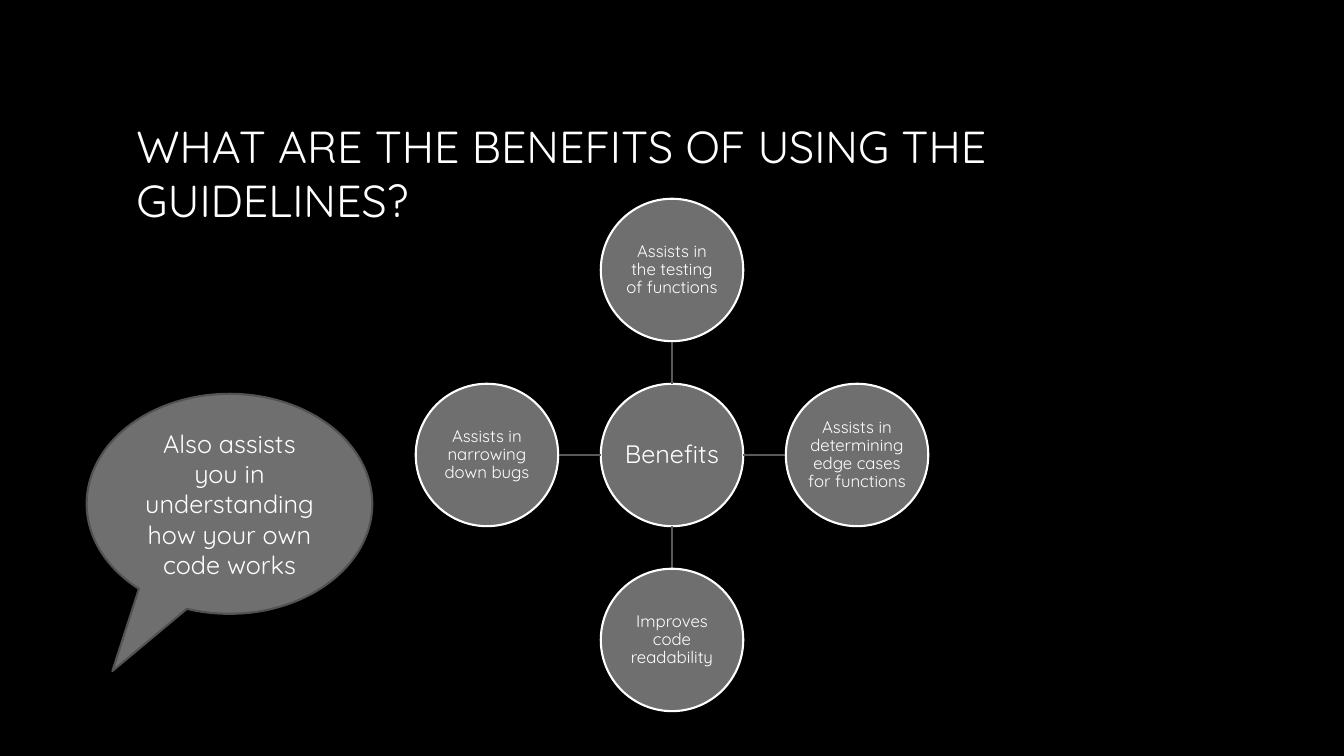
from dataclasses import dataclass

from lxml.etree import SubElement
from pptx import Presentation
from pptx.dml.color import RGBColor as Rgb
from pptx.enum.shapes import MSO_CONNECTOR as Link, MSO_SHAPE as Kind
from pptx.enum.text import MSO_ANCHOR as Anchor, MSO_AUTO_SIZE as Fit, PP_ALIGN as Align
from pptx.oxml.ns import qn
from pptx.util import Inches, Pt

WIDE, HIGH = Inches(13.33), Inches(7.5)
MID_X, MID_Y = WIDE * 0.5, HIGH * 0.6018
STEP = HIGH * 0.2447
RADIUS = HIGH * 0.0942


@dataclass(frozen=True)
class Theme:
    font: str = "Quicksand"
    back: Rgb = Rgb(0, 0, 0)
    text: Rgb = Rgb(255, 255, 255)
    fill: Rgb = Rgb.from_string("6F6F6F")
    spoke: Rgb = Rgb.from_string("595959")
    edge: Rgb = Rgb.from_string("525252")
    head: Pt = Pt(32)
    large: Pt = Pt(18)
    small: Pt = Pt(12)
    line: Pt = Pt(1.5)


THEME = Theme()


def area(left, top, width, height):
    return [int(n) for n in (left * WIDE, top * HIGH, width * WIDE, height * HIGH)]


def write(frame, words, size, align=Align.CENTER):
    frame.text = words
    frame.word_wrap = True
    frame.vertical_anchor = Anchor.MIDDLE
    para = frame.paragraphs[0]
    para.alignment = align
    para.font.name = THEME.font
    para.font.size = size
    para.font.color.rgb = THEME.text
    return para


def add_title(slide, words, box):
    title = slide.shapes.title
    title.left, title.top, title.width, title.height = box
    write(title.text_frame, words, THEME.head, Align.LEFT)
    title.text_frame.auto_size = Fit.NONE


def add_form(slide, kind, box, edge):
    form = slide.shapes.add_shape(kind, *box)
    form.shadow.inherit = False
    form.fill.solid()
    form.fill.fore_color.rgb = THEME.fill
    form.line.color.rgb = edge
    form.line.width = THEME.line
    return form


def add_node(slide, words, size, col=0, row=0):
    left = int(MID_X + col * STEP - RADIUS)
    top = int(MID_Y + row * STEP - RADIUS)
    side = int(2 * RADIUS)
    node = add_form(slide, Kind.OVAL, (left, top, side, side), THEME.text)
    frame = node.text_frame
    frame.margin_left = frame.margin_right = Inches(0.01)
    frame.margin_top = frame.margin_bottom = Inches(0.01)
    write(frame, words, size).line_spacing = 0.9


def add_spoke(slide, col, row):
    ends = [
        int(mid + way * gap)
        for gap in (RADIUS, STEP - RADIUS)
        for mid, way in ((MID_X, col), (MID_Y, row))
    ]
    spoke = slide.shapes.add_connector(Link.STRAIGHT, *ends)
    spoke.line.color.rgb = THEME.spoke
    spoke.line.width = THEME.line
    SubElement(spoke._element.spPr, qn("a:effectLst"))


def add_bubble(slide, words, box, tip):
    bubble = add_form(slide, Kind.OVAL_CALLOUT, box, THEME.edge)
    for i, share in enumerate(tip):
        bubble.adjustments[i] = share
    write(bubble.text_frame, words, THEME.large)


def main():
    deck = Presentation()
    deck.slide_width, deck.slide_height = WIDE, HIGH
    slide = deck.slides.add_slide(deck.slide_layouts[5])
    slide.background.fill.solid()
    slide.background.fill.fore_color.rgb = THEME.back

    add_title(
        slide,
        "WHAT ARE THE BENEFITS OF USING THE GUIDELINES?",
        area(0.094, 0.09, 0.8125, 0.277),
    )
    add_node(slide, "Benefits", THEME.large)
    for words, col, row in (
        ("Assists in the testing of functions", 0, -1),
        ("Assists in determining edge cases for functions", 1, 0),
        ("Improves code readability", 0, 1),
        ("Assists in narrowing down bugs", -1, 0),
    ):
        add_spoke(slide, col, row)
        add_node(slide, words, THEME.small, col, row)
    add_bubble(
        slide,
        "Also assists you in understanding how your own code works",
        area(0.0645, 0.521, 0.2125, 0.291),
        (-0.41, 0.76),
    )
    deck.save("out.pptx")


if __name__ == "__main__":
    main()
